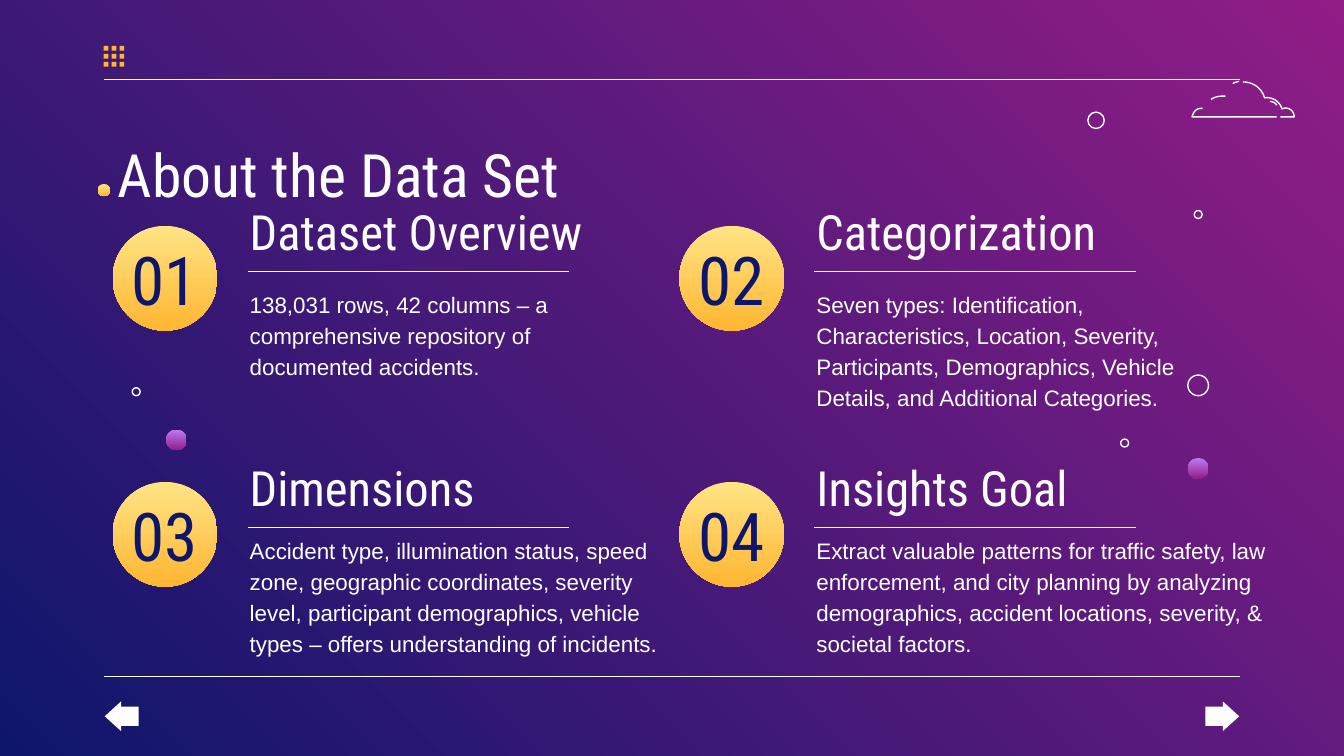
from lxml.etree import SubElement
from pptx import Presentation
from pptx.dml.color import RGBColor
from pptx.enum.shapes import MSO_CONNECTOR as CONNECTOR, MSO_SHAPE as SHAPE
from pptx.enum.text import MSO_ANCHOR as ANCHOR, PP_ALIGN as ALIGN
from pptx.oxml.ns import qn
from pptx.util import Cm, Pt

COLORS = {
    "white": "FFFFFF",
    "navy": "0E166C",
    "magenta": "921D87",
    "violet": "BE7AF3",
    "light yellow": "FFE485",
    "orange": "FFB632",
}
COLORS = {name: RGBColor.from_string(value) for name, value in COLORS.items()}
HEADING_FONT = "Roboto Condensed"
BODY_FONT = "Arial"
THIN = Pt(0.75)

presentation = Presentation()
presentation.slide_width, presentation.slide_height = Cm(25.4), Cm(14.29)
slide = presentation.slides.add_slide(presentation.slide_layouts[6])
shapes = slide.shapes


def add_text(text, left, top, width, height, size, font=HEADING_FONT, color="white",
             align=ALIGN.LEFT, anchor=ANCHOR.TOP, spacing=1.15):
    frame = shapes.add_textbox(Cm(left), Cm(top), Cm(width), Cm(height)).text_frame
    frame.word_wrap = True
    frame.vertical_anchor = anchor
    frame.margin_left = frame.margin_right = Cm(0.25)
    frame.margin_top = frame.margin_bottom = Cm(0.25)
    paragraph = frame.paragraphs[0]
    paragraph.text = text
    paragraph.alignment = align
    paragraph.line_spacing = spacing
    paragraph.font.name = font
    paragraph.font.size = Pt(size)
    paragraph.font.color.rgb = COLORS[color]


def add_circle(left, top, size, gradient=None):
    """Add a circle with a top-to-bottom gradient, or a white ring without one."""
    circle = shapes.add_shape(SHAPE.OVAL, Cm(left), Cm(top), Cm(size), Cm(size))
    circle.shadow.inherit = False
    if gradient:
        circle.fill.gradient()
        circle.fill.gradient_angle = 270
        for stop, color in zip(circle.fill.gradient_stops, gradient):
            stop.color.rgb = COLORS[color]
        circle.line.fill.background()
    else:
        circle.fill.background()
        circle.line.color.rgb = COLORS["white"]
        circle.line.width = THIN


background = slide.background.fill
background.gradient()
background.gradient_angle = 225
for stop, color in zip(background.gradient_stops, ("magenta", "navy")):
    stop.color.rgb = COLORS[color]

# Four numbered topics in a grid of two by two
GOLD = ("light yellow", "orange")
COLUMN_STEP, ROW_STEP = 10.71, 4.84
topics = [
    ("Dataset Overview", 5.18, 6.2,
     "138,031 rows, 42 columns – a comprehensive repository of documented accidents."),
    ("Categorization", 5.18, 7.87,
     "Seven types: Identification, Characteristics, Location, Severity, Participants, "
     "Demographics, Vehicle Details, and Additional Categories."),
    ("Dimensions", 9.83, 8.79,
     "Accident type, illumination status, speed zone, geographic coordinates, severity "
     "level, participant demographics, vehicle types – offers understanding of incidents."),
    ("Insights Goal", 9.83, 9.55,
     "Extract valuable patterns for traffic safety, law enforcement, and city planning by "
     "analyzing demographics, accident locations, severity, & societal factors."),
]
rules = [(1.96, 23.44, 1.5), (1.96, 23.44, 12.79)]

add_text("About the Data Set", 1.98, 1.55, 21.44, 1.68, 32, spacing=1.6)
for index, (heading, body_top, body_width, body) in enumerate(topics):
    row, column = divmod(index, 2)
    x, y = column * COLUMN_STEP, row * ROW_STEP
    add_circle(2.13 + x, 4.27 + y, 1.98, GOLD)
    add_text(f"{index + 1:02}", 2.13 + x, 4.78 + y, 1.98, 0.97, 36, color="navy",
             align=ALIGN.CENTER, anchor=ANCHOR.MIDDLE, spacing=1)
    add_text(heading, 4.47 + x, 3.4 + y, 7.87, 1.22, 26)
    add_text(body, 4.47 + x, body_top, body_width, 1.57, 12, font=BODY_FONT)
    rules.append((4.68 + x, 10.75 + x, 5.13 + y))

for start, end, y in rules:
    rule = shapes.add_connector(CONNECTOR.STRAIGHT, Cm(start), Cm(y), Cm(end), Cm(y))
    rule.line.color.rgb = COLORS["white"]
    rule.line.width = THIN
    SubElement(rule._element.spPr, qn("a:effectLst"))

# Navigation arrows
for kind, left in ((SHAPE.LEFT_ARROW, 1.98), (SHAPE.RIGHT_ARROW, 22.78)):
    arrow = shapes.add_shape(kind, Cm(left), Cm(13.26), Cm(0.64), Cm(0.56))
    arrow.adjustments[0], arrow.adjustments[1] = 0.65, 0.55
    arrow.shadow.inherit = False
    arrow.fill.solid()
    arrow.fill.fore_color.rgb = COLORS["white"]
    arrow.line.fill.background()

# Grid of small squares
squares = shapes.add_group_shape().shapes
for column in range(3):
    for row in range(3):
        square = squares.add_shape(SHAPE.RECTANGLE, Cm(1.96 + 0.15 * column),
                                   Cm(0.87 + 0.15 * row), Cm(0.09), Cm(0.09))
        square.shadow.inherit = False
        square.fill.solid()
        square.fill.fore_color.rgb = COLORS["orange"]
        square.line.fill.background()

# Cloud outline: a start point, then straight (1 point) or Bézier (3 points) segments
cloud_strokes = [
    [(23.49, 1.55), [(23.7, 1.55), (23.85, 1.68), (23.9, 1.85)],
     [(24.03, 1.83), (24.18, 1.9), (24.23, 2.06)],
     [(24.33, 2.01), (24.46, 2.08), (24.46, 2.21)], [(24.2, 2.21)]],
    [(23.42, 1.54), [(23.42, 1.54), (23.35, 1.55), (23.3, 1.58)]],
    [(24.13, 2.21), [(22.53, 2.21)], [(22.53, 2.21), (22.56, 2.03), (22.73, 2.05)]],
    [(24, 1.92), [(24, 1.92), (24.1, 1.92), (24.13, 1.99)]],
    [(23.16, 1.82), [(23.16, 1.82), (22.99, 1.8), (22.89, 1.88)]],
]
STEPS = 10
cloud = shapes.add_group_shape().shapes
for start, *segments in cloud_strokes:
    points = [start]
    for segment in segments:
        if len(segment) == 1:
            points += segment
            continue
        controls = [points[-1], *segment]
        for step in range(1, STEPS + 1):
            t = step / STEPS
            weights = ((1 - t) ** 3, 3 * t * (1 - t) ** 2, 3 * t ** 2 * (1 - t), t ** 3)
            points.append(tuple(sum(weight * point[axis] for weight, point
                                    in zip(weights, controls)) for axis in (0, 1)))
    points = [(Cm(x), Cm(y)) for x, y in points]
    builder = cloud.build_freeform(*points[0])
    builder.add_line_segments(points[1:], close=False)
    stroke = builder.convert_to_shape()
    stroke.shadow.inherit = False
    stroke.fill.background()
    stroke.line.color.rgb = COLORS["white"]
    stroke.line.width = THIN

# Scattered rings and dots
for left, top, size in ((22.57, 3.98, 0.15), (20.56, 2.12, 0.31), (22.45, 7.09, 0.39),
                        (21.18, 8.3, 0.15), (2.5, 7.33, 0.15)):
    add_circle(left, top, size)
for left, top in ((22.45, 8.66), (3.14, 8.12)):
    add_circle(left, top, 0.39, ("violet", "magenta"))
add_circle(1.85, 3.48, 0.23, GOLD)

presentation.save("out.pptx")
